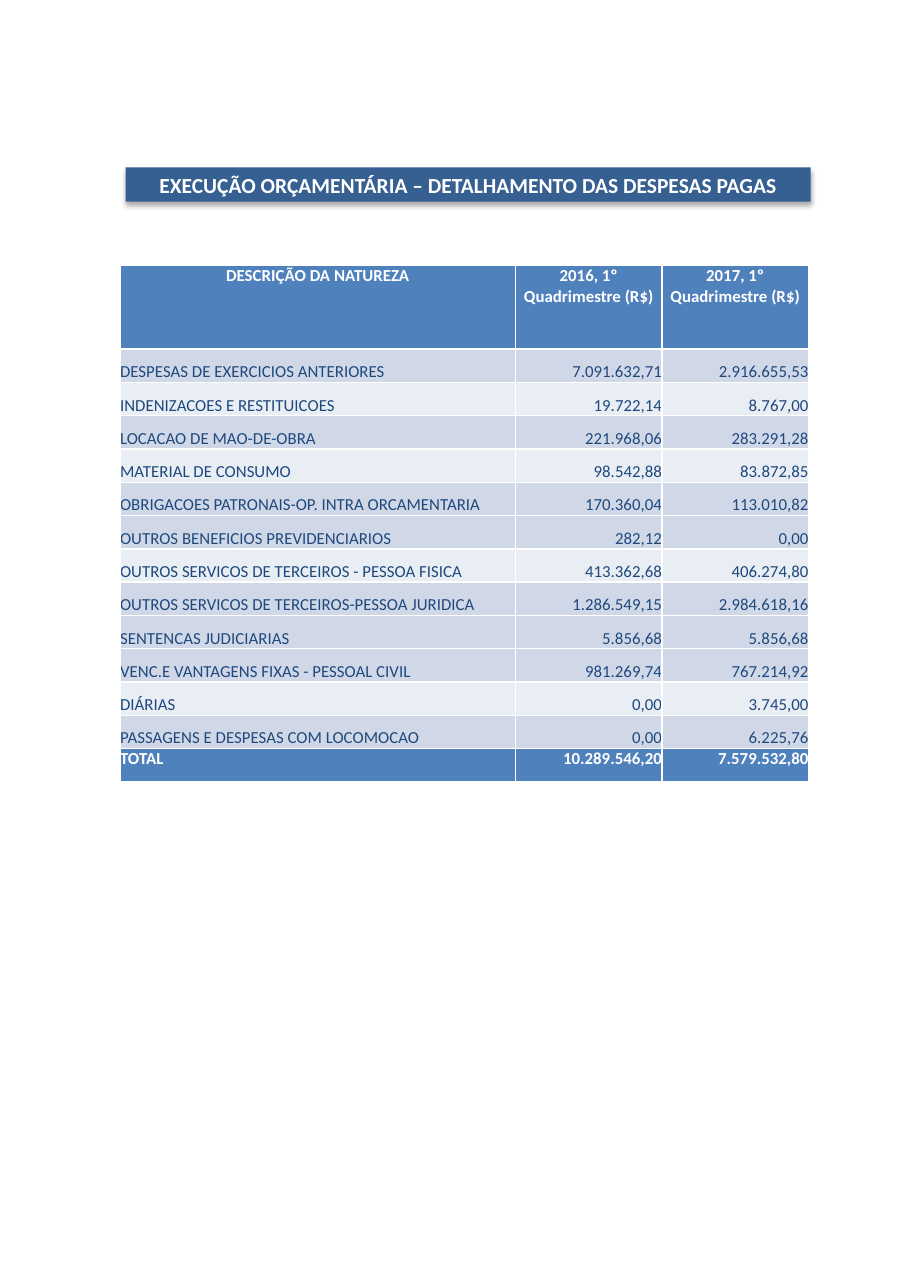
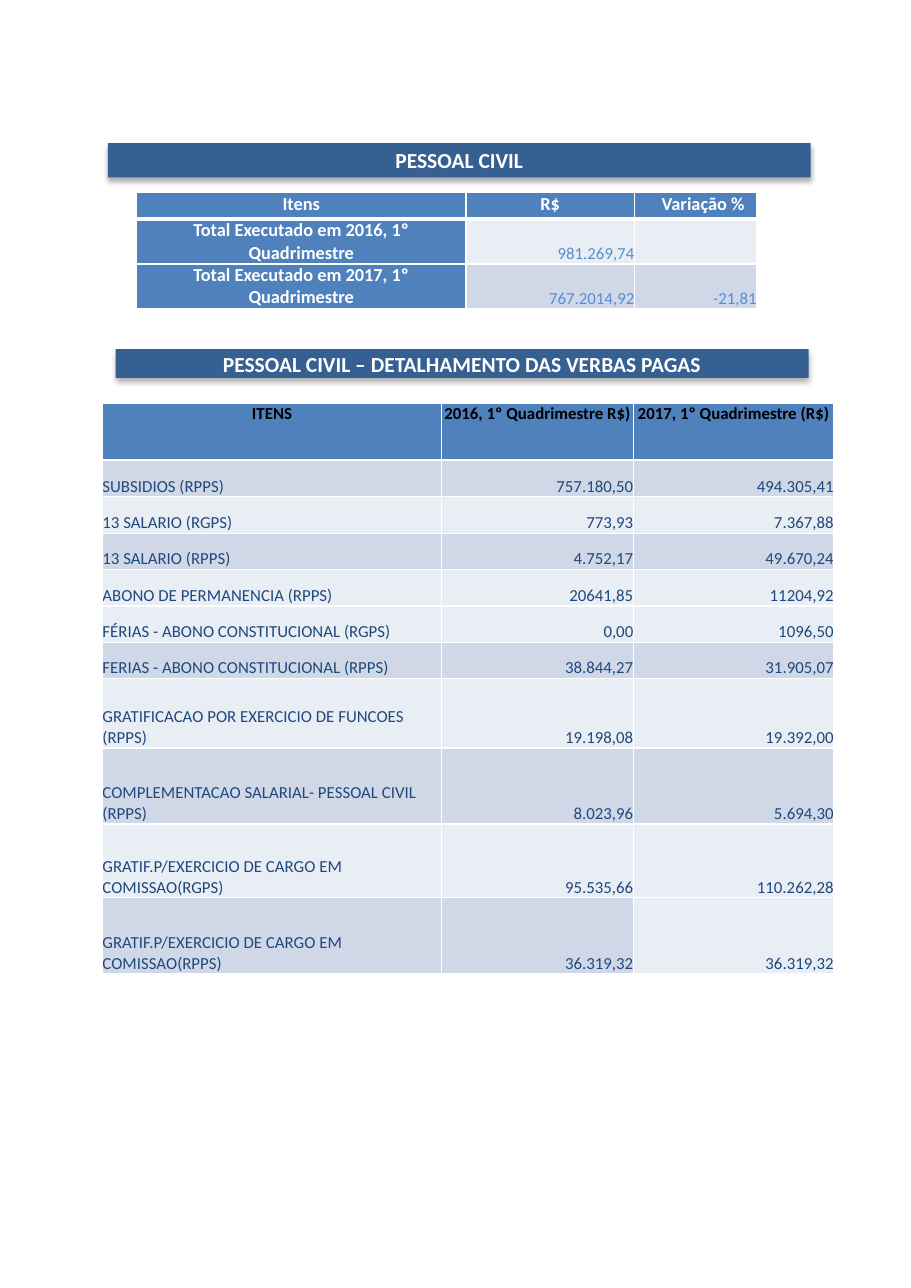
from dataclasses import dataclass, replace

from lxml.etree import SubElement
from pptx import Presentation
from pptx.dml.color import RGBColor
from pptx.enum.shapes import MSO_SHAPE as Shape
from pptx.enum.text import MSO_ANCHOR as Anchor, PP_ALIGN as Align
from pptx.oxml.ns import qn
from pptx.util import Inches, Pt


@dataclass(frozen=True)
class Theme:
    """Colours, font and type sizes shared by the slides."""
    font: str = "Calibri"
    title_size: int = 14
    summary_size: int = 12
    table_size: int = 11
    title_fill: str = "376092"
    header_fill: str = "4F81BD"
    dark_band: str = "D0D8E8"
    light_band: str = "E9EDF4"
    body_text: str = "1F497D"
    summary_text: str = "558ED5"
    white: str = "FFFFFF"
    black: str = "000000"


THEME = Theme()
BANDS = {"D": THEME.dark_band, "L": THEME.light_band}


@dataclass(frozen=True)
class CellStyle:
    """Look of a table cell; side is the left and right margin in inches."""
    fill: str
    colour: str = THEME.body_text
    size: int = THEME.table_size
    bold: bool = False
    align: Align = Align.LEFT
    anchor: Anchor = Anchor.BOTTOM
    side: float = 0


HEADER = CellStyle(THEME.header_fill, THEME.white, bold=True,
                   align=Align.CENTER, anchor=Anchor.TOP)

EXPENSES = [
    ("DESPESAS DE EXERCICIOS ANTERIORES", "7.091.632,71", "2.916.655,53"),
    ("INDENIZACOES E RESTITUICOES", "19.722,14", "8.767,00"),
    ("LOCACAO DE MAO-DE-OBRA", "221.968,06", "283.291,28"),
    ("MATERIAL DE CONSUMO", "98.542,88", "83.872,85"),
    ("OBRIGACOES PATRONAIS-OP. INTRA ORCAMENTARIA", "170.360,04", "113.010,82"),
    ("OUTROS BENEFICIOS PREVIDENCIARIOS", "282,12", "0,00"),
    ("OUTROS SERVICOS DE TERCEIROS - PESSOA FISICA", "413.362,68", "406.274,80"),
    ("OUTROS SERVICOS DE TERCEIROS-PESSOA JURIDICA", "1.286.549,15", "2.984.618,16"),
    ("SENTENCAS JUDICIARIAS", "5.856,68", "5.856,68"),
    ("VENC.E VANTAGENS FIXAS - PESSOAL CIVIL", "981.269,74", "767.214,92"),
    ("DIÁRIAS", "0,00", "3.745,00"),
    ("PASSAGENS E DESPESAS COM LOCOMOCAO", "0,00", "6.225,76"),
]
EXPENSE_TOTAL = ("TOTAL", "10.289.546,20", "7.579.532,80")

PAYMENTS = [
    ("SUBSIDIOS (RPPS)", "757.180,50", "494.305,41"),
    ("13 SALARIO (RGPS)", "773,93", "7.367,88"),
    ("13 SALARIO (RPPS)", "4.752,17", "49.670,24"),
    ("ABONO DE PERMANENCIA (RPPS)", "20641,85", "11204,92"),
    ("FÉRIAS - ABONO CONSTITUCIONAL (RGPS)", "0,00", "1096,50"),
    ("FERIAS - ABONO CONSTITUCIONAL (RPPS)", "38.844,27", "31.905,07"),
    ("GRATIFICACAO POR EXERCICIO DE FUNCOES (RPPS)", "19.198,08", "19.392,00"),
    ("COMPLEMENTACAO SALARIAL- PESSOAL CIVIL (RPPS)", "8.023,96", "5.694,30"),
    ("GRATIF.P/EXERCICIO DE CARGO EM COMISSAO(RGPS)", "95.535,66", "110.262,28"),
    ("GRATIF.P/EXERCICIO DE CARGO EM COMISSAO(RPPS)", "36.319,32", "36.319,32"),
]


def paint(target, colour):
    """Give a shape or cell a solid fill."""
    target.fill.solid()
    target.fill.fore_color.rgb = RGBColor.from_string(colour)


def write(text_frame, text, size, colour, bold, align):
    """Write one formatted paragraph into a text frame."""
    text_frame.text = text
    paragraph = text_frame.paragraphs[0]
    paragraph.alignment = align
    for run in paragraph.runs:
        run.font.name = THEME.font
        run.font.size = Pt(size)
        run.font.bold = bold
        run.font.color.rgb = RGBColor.from_string(colour)


def add_shadow(shape):
    """Add a soft shadow below a shape."""
    shape.shadow.inherit = False
    effects = shape._element.spPr.find(qn("a:effectLst"))
    shadow = SubElement(effects, qn("a:outerShdw"), blurRad=str(Pt(3.5)),
                        dist=str(Pt(2.2)), dir="5400000", algn="ctr", rotWithShape="0")
    colour = SubElement(shadow, qn("a:srgbClr"), val=THEME.black)
    SubElement(colour, qn("a:alpha"), val="32000")


def add_title(slide, text, left, top, width, height):
    """Add a blue title band."""
    band = slide.shapes.add_shape(Shape.RECTANGLE, Inches(left), Inches(top),
                                  Inches(width), Inches(height))
    paint(band, THEME.title_fill)
    band.line.fill.background()
    add_shadow(band)
    band.text_frame.word_wrap = True
    band.text_frame.vertical_anchor = Anchor.MIDDLE
    write(band.text_frame, text, THEME.title_size, THEME.white, True, Align.CENTER)


def set_borders(cell, top, bottom):
    """Draw white cell borders, with the top and bottom widths in points."""
    properties = cell._tc.get_or_add_tcPr()
    widths = {"lnL": 1, "lnR": 1, "lnT": top, "lnB": bottom}
    for position, (side, width) in enumerate(widths.items()):
        line = properties.makeelement(qn(f"a:{side}"), {"w": str(Pt(width))})
        fill = SubElement(line, qn("a:solidFill"))
        SubElement(fill, qn("a:srgbClr"), val=THEME.white)
        properties.insert(position, line)


def format_cell(cell, text, style):
    """Fill one table cell with text in the given style."""
    paint(cell, style.fill)
    cell.vertical_anchor = style.anchor
    cell.margin_left = cell.margin_right = Inches(style.side)
    cell.margin_top = cell.margin_bottom = 0
    write(cell.text_frame, text, style.size, style.colour, style.bold, style.align)


def add_table(slide, left, top, columns, heights, rows, styles, rule=1.5):
    """Add a table from rows of text and matching rows of cell styles."""
    frame = slide.shapes.add_table(len(rows), len(columns), Inches(left), Inches(top),
                                   Inches(sum(columns)), Inches(sum(heights)))
    table = frame.table
    table.first_row = table.horz_banding = False
    for column, width in zip(table.columns, columns):
        column.width = Inches(width)
    for index, (row, height) in enumerate(zip(table.rows, heights)):
        row.height = Inches(height)
        for cell, text, style in zip(row.cells, rows[index], styles[index]):
            format_cell(cell, text, style)
            set_borders(cell, rule if index == 1 else 1, rule if index == 0 else 1)
    return table


def label_and_values(style):
    """Return styles for a left-aligned label and two right-aligned values."""
    value = replace(style, align=Align.RIGHT)
    return [replace(style, align=Align.LEFT), value, value]


def banded(bands):
    """Return body row styles for a string of D (dark) and L (light) bands."""
    return [label_and_values(CellStyle(BANDS[band])) for band in bands]


def build_expenses(slide):
    """Build the slide of paid expenses."""
    add_title(slide, "EXECUÇÃO ORÇAMENTÁRIA – DETALHAMENTO DAS DESPESAS PAGAS",
              1.14, 1.52, 6.22, 0.31)
    header = ("DESCRIÇÃO DA NATUREZA", "2016, 1º Quadrimestre (R$)",
              "2017, 1º Quadrimestre (R$)")
    rows = [header, *EXPENSES, EXPENSE_TOTAL]
    styles = [[HEADER] * 3, *banded("DLDLDDLDDDLD"), label_and_values(HEADER)]
    row_height = (4.69 - 0.76) / (len(rows) - 1)
    add_table(slide, 1.09, 2.41, [3.59, 1.33, 1.33],
              [0.76] + [row_height] * (len(rows) - 1), rows, styles)


def build_summary(slide):
    """Build the summary table of staff spending."""
    header = replace(HEADER, size=THEME.summary_size)
    label = replace(header, side=0.4)
    variation = replace(header, align=Align.RIGHT, side=0.11)
    rows = [("Itens", "R$", "Variação %"),
            ("Total Executado em 2016, 1º Quadrimestre", "981.269,74", ""),
            ("Total Executado em 2017, 1º Quadrimestre", "767.2014,92", "-21,81")]
    styles = [[label, header, variation]]
    for band in "LD":
        value = CellStyle(BANDS[band], THEME.summary_text, align=Align.RIGHT)
        styles.append([label, value, value])
    add_table(slide, 1.24, 1.75, [2.99, 1.53, 1.11], [0.24, 0.4, 0.4], rows, styles, 3)


def build_staff(slide):
    """Build the slide of civil staff spending."""
    build_summary(slide)
    add_title(slide, "PESSOAL CIVIL", 0.98, 1.3, 6.38, 0.31)
    add_title(slide, "PESSOAL CIVIL – DETALHAMENTO DAS VERBAS PAGAS",
              1.05, 3.17, 6.29, 0.26)
    header = ("ITENS", "2016, 1º Quadrimestre R$)", "2017, 1º Quadrimestre (R$)")
    styles = [[replace(HEADER, colour=THEME.black)] * 3, *banded("DLDLLDLDLD")]
    table = add_table(slide, 0.93, 3.66, [3.08, 1.74, 1.82],
                      [0.52] + [0.33] * 6 + [0.63, 0.69, 0.67, 0.69],
                      [header, *PAYMENTS], styles)
    paint(table.cell(len(PAYMENTS), 2), THEME.light_band)


def main():
    """Build and save the presentation."""
    presentation = Presentation()
    presentation.slide_width = Inches(8.27)
    presentation.slide_height = Inches(11.69)
    for build in (build_expenses, build_staff):
        build(presentation.slides.add_slide(presentation.slide_layouts[6]))
    presentation.save("out.pptx")


if __name__ == "__main__":
    main()
